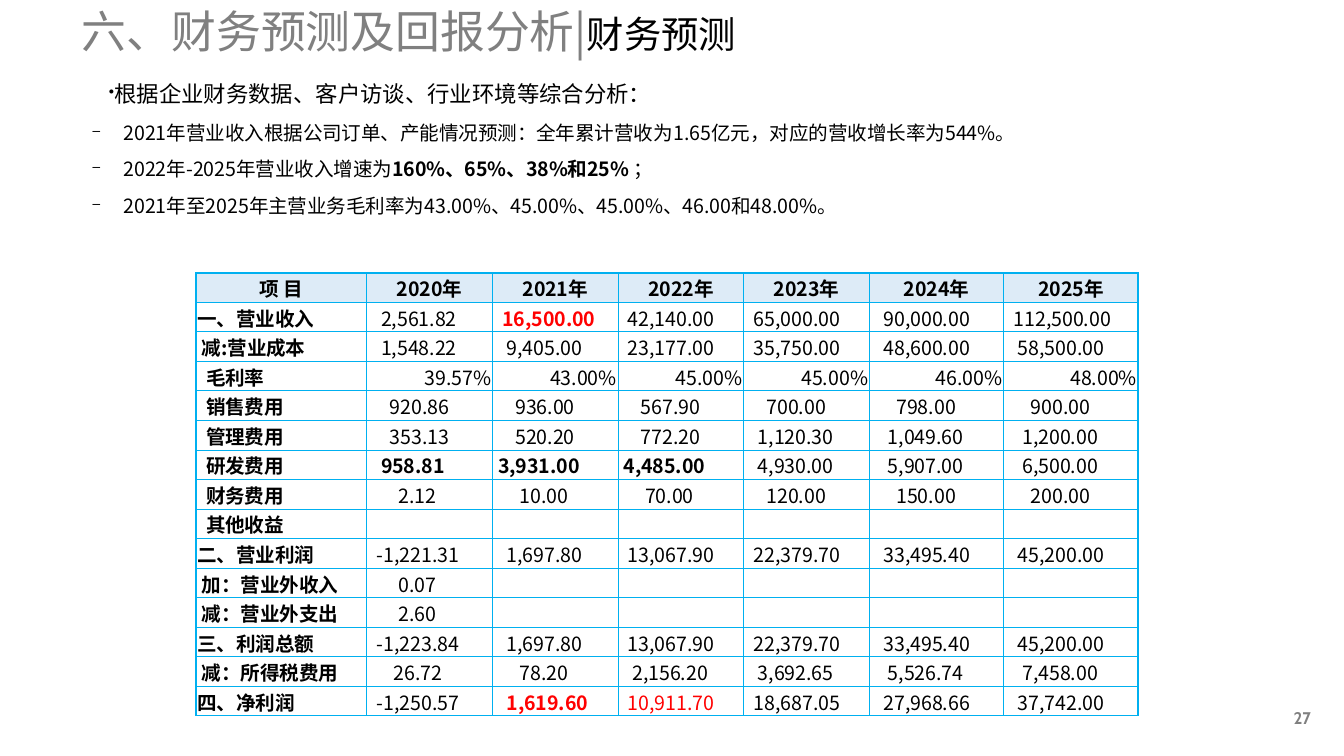
import pptx
import pptx.dml.color
import pptx.enum.text
import pptx.oxml.ns
import pptx.util
from lxml import etree

Inches, Pt = pptx.util.Inches, pptx.util.Pt
ALIGN = pptx.enum.text.PP_ALIGN
MIDDLE = pptx.enum.text.MSO_ANCHOR.MIDDLE
FONT = "Noto Sans CJK SC"
COLORS = {"text": "000000", "muted": "808080", "highlight": "FF0000",
          "header": "DDEBF7", "border": "00B0F0"}

SPACE = 2.3  # indent step in points, one space of the table font
TABLE_WIDTH, LABEL_WIDTH, LATE_YEAR_WIDTH = 7.01, 1.27, 1
EARLY_YEAR_WIDTH = (TABLE_WIDTH - LABEL_WIDTH - 2 * LATE_YEAR_WIDTH) / 4
COLUMN_WIDTHS = [LABEL_WIDTH] + [EARLY_YEAR_WIDTH] * 4 + [LATE_YEAR_WIDTH] * 2
ROW_HEIGHT = 0.22
HEADER = ["项 目", "2020年", "2021年", "2022年", "2023年", "2024年", "2025年"]
# Label indent level, label, yearly figures
FORECAST = [
    (0, "一、营业收入", "2,561.82 16,500.00 42,140.00 65,000.00 90,000.00 112,500.00"),
    (1, "减:营业成本", "1,548.22 9,405.00 23,177.00 35,750.00 48,600.00 58,500.00"),
    (2, "毛利率", "39.57% 43.00% 45.00% 45.00% 46.00% 48.00%"),
    (2, "销售费用", "920.86 936.00 567.90 700.00 798.00 900.00"),
    (2, "管理费用", "353.13 520.20 772.20 1,120.30 1,049.60 1,200.00"),
    (2, "研发费用", "958.81 3,931.00 4,485.00 4,930.00 5,907.00 6,500.00"),
    (2, "财务费用", "2.12 10.00 70.00 120.00 150.00 200.00"),
    (2, "其他收益", ""),
    (0, "二、营业利润", "-1,221.31 1,697.80 13,067.90 22,379.70 33,495.40 45,200.00"),
    (1, "加：营业外收入", "0.07"),
    (1, "减：营业外支出", "2.60"),
    (0, "三、利润总额", "-1,223.84 1,697.80 13,067.90 22,379.70 33,495.40 45,200.00"),
    (1, "减：所得税费用", "26.72 78.20 2,156.20 3,692.65 5,526.74 7,458.00"),
    (0, "四、净利润", "-1,250.57 1,619.60 10,911.70 18,687.05 27,968.66 37,742.00"),
]
# (row, column) positions of emphasised figures
BOLD = {(1, 2), (6, 1), (6, 2), (6, 3), (14, 2)}
RED = {(1, 2), (14, 2), (14, 3)}
RESEARCH_ROW = 6


def rgb(name):
    return pptx.dml.color.RGBColor.from_string(COLORS[name])


def add_xml(parent, tag, **attributes):
    child = etree.SubElement(parent, pptx.oxml.ns.qn(tag))
    for key, value in attributes.items():
        child.set(key, str(value))
    return child


def set_font(font, size, color="text", bold=False, name=FONT):
    font.size, font.bold, font.name = Pt(size), bold, name
    font.color.rgb = rgb(color)


def set_indent(paragraph, left, first=0):
    properties = paragraph._p.get_or_add_pPr()
    properties.set("marL", str(int(left)))
    properties.set("indent", str(int(first)))


def add_text_box(slide, left, top, width, height, margins=(0.11, 0.05)):
    box = slide.shapes.add_textbox(Inches(left), Inches(top), Inches(width), Inches(height))
    frame = box.text_frame
    frame.word_wrap = True
    frame.margin_left = frame.margin_right = Inches(margins[0])
    frame.margin_top = frame.margin_bottom = Inches(margins[1])
    return frame


def add_title(slide):
    frame = add_text_box(slide, 0.5, 0, 9, 0.45)
    frame.vertical_anchor = MIDDLE
    title = frame.paragraphs[0]
    set_indent(title, Inches(0.74), Inches(-0.74))
    for text, size, color in (("六、财务预测及回报分析|", 24, "muted"), ("财务预测", 20, "text")):
        run = title.add_run()
        run.text = text
        set_font(run.font, size, color)


def add_bullet(paragraph, parts, symbol, size, left, first):
    """Fill a bullet paragraph; every second part is bold."""
    set_indent(paragraph, Inches(left), Inches(first))
    properties = paragraph._p.get_or_add_pPr()
    add_xml(properties, "a:buSzPct", val=70000)
    add_xml(properties, "a:buChar", char=symbol)
    paragraph.line_spacing = 1.5
    set_font(paragraph.font, size)
    for index, text in enumerate(parts):
        run = paragraph.add_run()
        run.text = text
        if index % 2:
            run.font.bold = True


def add_assumptions(slide):
    frame = add_text_box(slide, 0.5, 0.45, 8.2, 1.5)
    add_bullet(frame.paragraphs[0], ["根据企业财务数据、客户访谈、行业环境等综合分析："],
               "•", 12, 0, 0.2)
    for parts in (
        ["2021年营业收入根据公司订单、产能情况预测：全年累计营收为1.65亿元，对应的营收增长率为544%。"],
        ["2022年-2025年营业收入增速为", "160%、65%、38%和25% ", "；"],
        ["2021年至2025年主营业务毛利率为43.00%、45.00%、45.00%、46.00和48.00%。"],
    ):
        paragraph = frame.add_paragraph()
        paragraph.level = 1
        paragraph.space_before = Pt(0.7)
        add_bullet(paragraph, parts, "–", 10.5, 0.31, -0.23)


def set_borders(cell, widths):
    """Draw left, right, top and bottom borders, widths in points."""
    properties = cell._tc.get_or_add_tcPr()
    for side, width in zip("LRTB", widths):
        line = add_xml(properties, f"a:ln{side}", w=Pt(width))
        fill = add_xml(line, "a:solidFill")
        add_xml(fill, "a:srgbClr", val=COLORS["border"])


def fill_cell(cell, text, bold, color, align, spaces):
    cell.vertical_anchor = MIDDLE
    cell.margin_left = cell.margin_right = cell.margin_top = Inches(0.01)
    cell.margin_bottom = 0
    paragraph = cell.text_frame.paragraphs[0]
    paragraph.alignment = align
    set_indent(paragraph, Pt(SPACE * spaces))
    set_font(paragraph.font, 10.5, color, bold)
    if text:
        paragraph.add_run().text = text
    else:
        add_xml(paragraph._p, "a:endParaRPr", sz=1050)


def figure_indent(text, row, column):
    """Shorter figures start further right; the last two columns are wider."""
    width = 12 if column >= 5 else 11
    shift = 2 if row == RESEARCH_ROW and (row, column) in BOLD else 0
    return width - len(text) - shift


def add_forecast_table(slide):
    rows = [HEADER]
    for _, label, figures in FORECAST:
        values = figures.split()
        rows.append([label] + values + [""] * (len(HEADER) - 1 - len(values)))
    last_row, last_column = len(rows) - 1, len(HEADER) - 1
    table = slide.shapes.add_table(len(rows), len(HEADER), Inches(1.46), Inches(2.03),
                                   Inches(TABLE_WIDTH), Inches(ROW_HEIGHT * len(rows))).table
    table.horz_banding = False
    for column, width in zip(table.columns, COLUMN_WIDTHS):
        column.width = Inches(width)

    for r, row in enumerate(rows):
        for c, text in enumerate(row):
            cell = table.cell(r, c)
            edges = (c == 0, c == last_column, r == 0, r == last_row)
            set_borders(cell, [1 if outer else 0.5 for outer in edges])
            if r == 0:
                cell.fill.solid()
                cell.fill.fore_color.rgb = rgb("header")
            else:
                cell.fill.background()

            align, spaces = ALIGN.LEFT, 0
            if r == 0:
                align = ALIGN.CENTER
            elif c == 0:
                spaces = FORECAST[r - 1][0]
            elif text.endswith("%"):
                align = ALIGN.RIGHT
            elif text:
                spaces = figure_indent(text, r, c)
            fill_cell(cell, text, r == 0 or c == 0 or (r, c) in BOLD,
                      "highlight" if (r, c) in RED else "text", align, spaces)


def add_page_number(slide):
    frame = add_text_box(slide, 9.5, 5.17, 0.38, 0.34, margins=(0, 0))
    frame.word_wrap = False
    frame.vertical_anchor = MIDDLE
    number = frame.paragraphs[0]
    number.text = "27"
    number.alignment = ALIGN.CENTER
    set_font(number.font, 9, "muted", True, "Cabin")


def main():
    presentation = pptx.Presentation()
    presentation.slide_width = Inches(10)
    presentation.slide_height = Inches(10) * 9 // 16
    slide = presentation.slides.add_slide(presentation.slide_layouts[6])
    add_page_number(slide)
    add_title(slide)
    add_assumptions(slide)
    add_forecast_table(slide)
    presentation.save("out.pptx")


if __name__ == "__main__":
    main()
